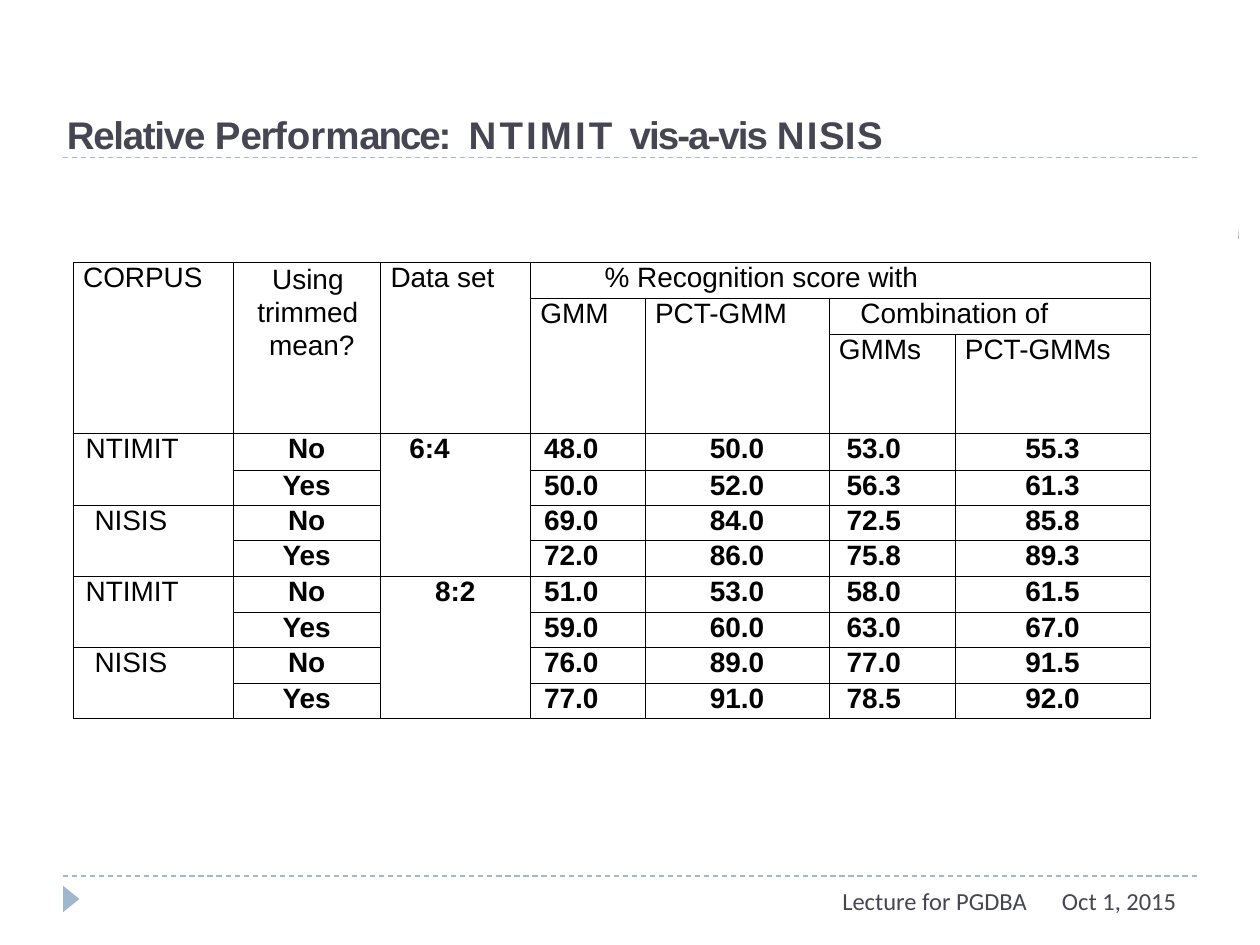
from lxml import etree
from pptx import Presentation
from pptx import util as u
from pptx.dml.color import RGBColor
from pptx.enum import dml, shapes, text
from pptx.oxml.ns import qn

COLORS = {"ink": "464653", "accent": "9FB8CD", "black": "000000"}
TICK_COLORS = ["AFAFAF", "CECECE", "EFEFEF", "FFFFFF"]

deck = Presentation()
deck.slide_width, deck.slide_height = u.Inches(10), u.Inches(7.5)
W, H = deck.slide_width, deck.slide_height
slide = deck.slides.add_slide(deck.slide_layouts[5])


def format_paragraph(paragraph, size, color, font="Arial", bold=False,
                     align=text.PP_ALIGN.LEFT, indent=0):
    paragraph.alignment = align
    paragraph.font.size, paragraph.font.name = u.Pt(size), font
    paragraph.font.bold = bold
    paragraph.font.color.rgb = RGBColor.from_string(COLORS[color])
    if indent:
        properties = paragraph._p.get_or_add_pPr()
        properties.set("marL", str(u.Inches(indent)))
        properties.set("indent", "0")


# Dashed rules above the body and above the footer
for rule_y in (H / 6, H * 0.927):
    rule = slide.shapes.add_connector(shapes.MSO_CONNECTOR.STRAIGHT,
                                      int(W * 0.05), int(rule_y), int(W * 0.95), int(rule_y))
    rule.line.color.rgb = RGBColor.from_string(COLORS["accent"])
    rule.line.width = u.Pt(0.75)
    rule.line.dash_style = dml.MSO_LINE.DASH
    etree.SubElement(rule._element.spPr, qn("a:effectLst"))

# Footer marker
marker = slide.shapes.add_shape(shapes.MSO_SHAPE.ISOSCELES_TRIANGLE,
                                u.Inches(0.46), u.Inches(7.07), u.Inches(0.21), u.Inches(0.13))
marker.rotation = 90
marker.shadow.inherit = False
marker.fill.solid()
marker.fill.fore_color.rgb = RGBColor.from_string(COLORS["accent"])
marker.line.fill.background()

# Title, with its letter spacing in points
title = slide.shapes.title
title.left, title.top = int(W * 0.05), u.Inches(0.17)
title.width, title.height = int(W * 0.9), u.Inches(1.08)
heading = title.text_frame
heading.margin_left = heading.margin_right = heading.margin_top = heading.margin_bottom = 0
heading.vertical_anchor = text.MSO_ANCHOR.BOTTOM
heading.auto_size = text.MSO_AUTO_SIZE.NONE
heading.word_wrap = True
format_paragraph(heading.paragraphs[0], 22, "ink", bold=True, indent=0.03)
for letters, spacing in [("Relative ", -0.7), ("P", -0.2), ("erf", -0.8), ("o", -1.8),
                         ("r", -0.6), ("m", -0.9), ("ance:  ", -1.2), ("NTIMIT ", 1.8),
                         ("vis-a-vis ", -1.1), ("N", 1.4), ("I", 0.9), ("S", -1.5),
                         ("I", 0.9), ("S", -1.5)]:
    run = heading.paragraphs[0].add_run()
    run.text = letters
    run.font._element.set("spc", str(round(spacing * 100)))

# Fading tick at the right edge
tick_x, tick_y, tick_step = u.Inches(9.83), u.Inches(1.9), u.Inches(0.03)
for step, shade in enumerate(TICK_COLORS):
    start = tick_y - step * tick_step
    outline = slide.shapes.build_freeform(tick_x, start)
    outline.add_line_segments([(tick_x, start - tick_step)], close=False)
    tick = outline.convert_to_shape()
    tick.shadow.inherit = False
    tick.fill.background()
    tick.line.color.rgb = RGBColor.from_string(shade)
    tick.line.width = u.Pt(0.25)

# Score table: text by (row, column), with left indent or None for centred
COLUMN_WIDTHS = [1.27, 1.17, 1.19, 0.91, 1.46, 1, 1.55]
ROW_HEIGHTS = [0.29, 0.28, 0.31, 0.29, 0.28, 0.28, 0.28, 0.29, 0.28, 0.28, 0.28]
SCORE_INDENTS = [0.11, None, 0.14, None]
SCORES = [
    ["48.0", "50.0", "53.0", "55.3"],
    ["50.0", "52.0", "56.3", "61.3"],
    ["69.0", "84.0", "72.5", "85.8"],
    ["72.0", "86.0", "75.8", "89.3"],
    ["51.0", "53.0", "58.0", "61.5"],
    ["59.0", "60.0", "63.0", "67.0"],
    ["76.0", "89.0", "77.0", "91.5"],
    ["77.0", "91.0", "78.5", "92.0"],
]
FIRST_SCORE = 3
entries = {
    (0, 0): ("CORPUS", 0.08, False),
    (0, 1): ("Using \ntrimmed \nmean?", None, False),
    (0, 2): ("Data set", 0.08, False),
    (0, 3): ("% Recognition score with", 0.59, False),
    (1, 3): ("GMM", 0.08, False),
    (1, 4): ("PCT-GMM", 0.08, False),
    (1, 5): ("Combination of", 0.25, False),
    (2, 5): ("GMMs", 0.08, False),
    (2, 6): ("PCT-GMMs", 0.08, False),
    (3, 2): ("6:4", 0.23, True),
    (7, 2): ("8:2", None, True),
}
spans = {(0, 0): (3, 1), (0, 1): (3, 1), (0, 2): (3, 1), (0, 3): (1, 4), (1, 3): (2, 1),
         (1, 4): (2, 1), (1, 5): (1, 2), (3, 2): (4, 1), (7, 2): (4, 1)}
for row, scores in enumerate(SCORES, FIRST_SCORE):
    trial = row - FIRST_SCORE
    entries[row, 1] = (("No", "Yes")[trial % 2], None, True)
    if trial % 2 == 0:
        entries[row, 0] = (("NTIMIT", 0.1, False), ("NISIS", 0.17, False))[trial // 2 % 2]
        spans[row, 0] = (2, 1)
    for column, (score, indent) in enumerate(zip(scores, SCORE_INDENTS), 3):
        entries[row, column] = (score, indent, True)

results = slide.shapes.add_table(len(ROW_HEIGHTS), len(COLUMN_WIDTHS), u.Inches(0.58),
                                 u.Inches(2.08), u.Inches(sum(COLUMN_WIDTHS)),
                                 u.Inches(sum(ROW_HEIGHTS))).table
results.first_row = results.horz_banding = False
for column, width in zip(results.columns, COLUMN_WIDTHS):
    column.width = u.Inches(width)
for row, height in zip(results.rows, ROW_HEIGHTS):
    row.height = u.Inches(height)

# Plain cells with thin black borders
for cell in results.iter_cells():
    cell.margin_left = cell.margin_right = cell.margin_top = cell.margin_bottom = 0
    for side in ("a:lnL", "a:lnR", "a:lnT", "a:lnB"):
        border = etree.SubElement(cell._tc.get_or_add_tcPr(), qn(side), w=str(u.Pt(0.4)))
        ink = etree.SubElement(border, qn("a:solidFill"))
        etree.SubElement(ink, qn("a:srgbClr"), val=COLORS["black"])
    cell.fill.background()

for (row, column), (rows, columns) in spans.items():
    results.cell(row, column).merge(results.cell(row + rows - 1, column + columns - 1))

for (row, column), (words, indent, bold) in entries.items():
    cell = results.cell(row, column)
    cell.text_frame.text = words
    for paragraph in cell.text_frame.paragraphs:
        align = text.PP_ALIGN.CENTER if indent is None else text.PP_ALIGN.LEFT
        format_paragraph(paragraph, 16, "black", bold=bold, align=align, indent=indent)

# The wrapped heading keeps a fixed line pitch
for paragraph in results.cell(0, 1).text_frame.paragraphs:
    format_paragraph(paragraph, 16, "black", align=text.PP_ALIGN.CENTER, indent=0.08)
    paragraph.line_spacing = u.Pt(19)

# Footer: date and lecture
for words, left, width, align in [("Oct 1, 2015", 8.33, 1.42, text.PP_ALIGN.LEFT),
                                  ("Lecture for PGDBA", 1.25, 7, text.PP_ALIGN.RIGHT)]:
    footer = slide.shapes.add_textbox(u.Inches(left), u.Inches(6.95),
                                      u.Inches(width), u.Inches(0.4)).text_frame
    footer.word_wrap = True
    footer.vertical_anchor = text.MSO_ANCHOR.MIDDLE
    footer.text = words
    format_paragraph(footer.paragraphs[0], 14, "ink", font="Calibri", align=align)

deck.save("out.pptx")
